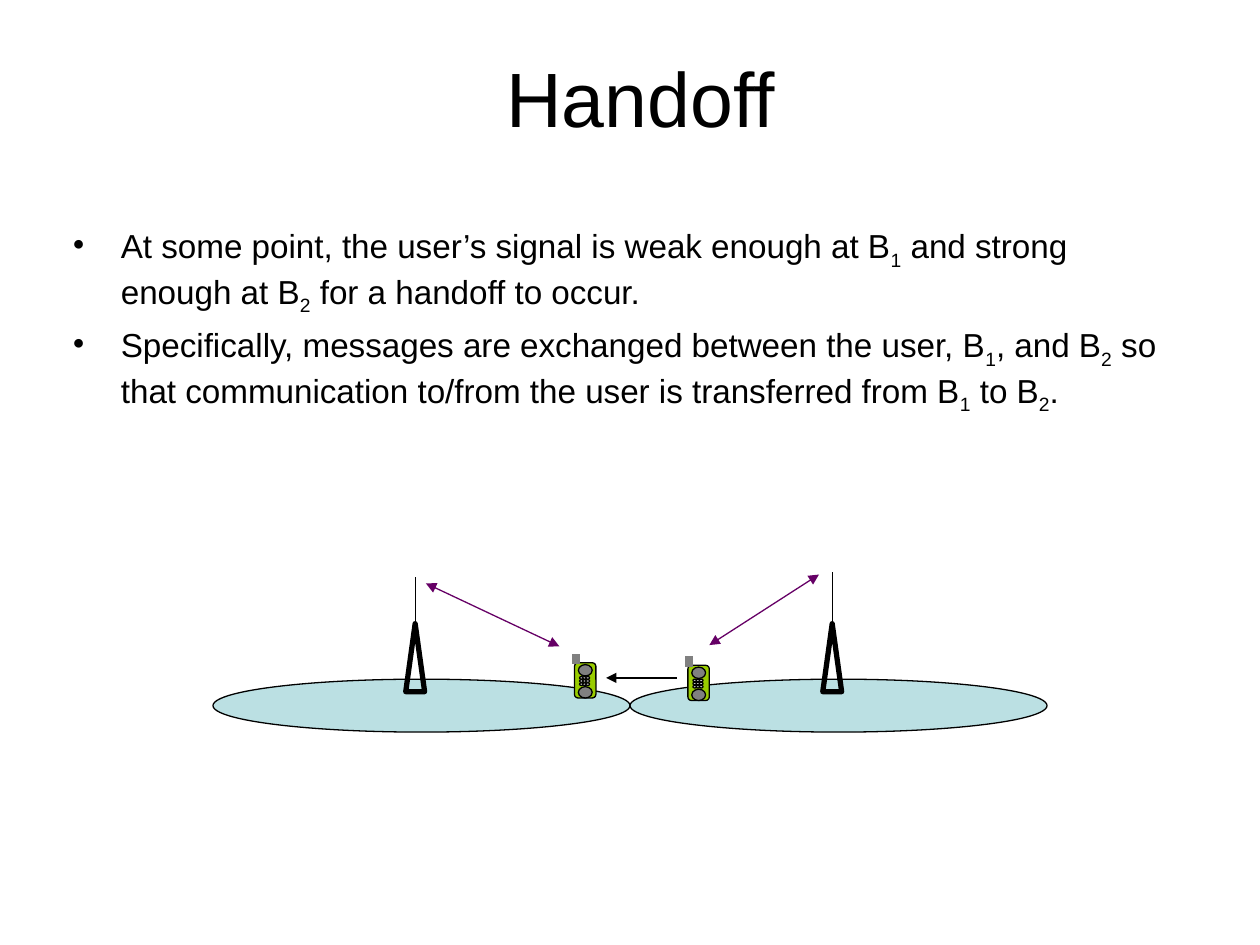
from dataclasses import dataclass
from itertools import product

from lxml.etree import SubElement
from pptx import Presentation
from pptx.dml.color import RGBColor
from pptx.enum.shapes import MSO_CONNECTOR, MSO_SHAPE
from pptx.enum.text import MSO_ANCHOR, PP_ALIGN
from pptx.oxml.ns import qn
from pptx.util import Inches, Pt

BLACK = RGBColor(0x00, 0x00, 0x00)
CELL_BLUE = RGBColor(0xBB, 0xE0, 0xE3)
PHONE_GREEN = RGBColor(0x99, 0xCC, 0x00)
GREY = RGBColor(0x80, 0x80, 0x80)
KEY_GREY = RGBColor(0xDD, 0xDD, 0xDD)
SIGNAL_PURPLE = RGBColor(0x66, 0x00, 0x66)
FONT = "Arial"
CELL_TOP, CELL_WIDTH, CELL_HEIGHT = 5.39, 3.31, 0.42


@dataclass(frozen=True)
class Cell:
    left: float
    tower_x: float
    antenna_top: float


@dataclass(frozen=True)
class Phone:
    left: float
    top: float


@dataclass(frozen=True)
class Arrow:
    start: tuple[float, float]
    end: tuple[float, float]
    color: RGBColor
    two_way: bool


CELLS = [Cell(1.69, 3.3, 4.58), Cell(5, 6.61, 4.54)]
PHONES = [Phone(5.46, 5.28), Phone(4.56, 5.26)]
ARROWS = [
    Arrow((5.63, 5.12), (6.5, 4.56), SIGNAL_PURPLE, True),
    Arrow((5.37, 5.38), (4.81, 5.38), BLACK, False),
    Arrow((4.44, 5.13), (3.38, 4.63), SIGNAL_PURPLE, True),
]
# Underscores mark a one-digit subscript.
BULLETS = [
    "At some point, the user’s signal is weak enough at B_1 and strong enough "
    "at B_2 for a handoff to occur.",
    "Specifically, messages are exchanged between the user, B_1, and B_2 so "
    "that communication to/from the user is transferred from B_1 to B_2.",
]


def add_outlined(slide, kind, left: float, top: float, width: float, height: float,
                 fill: RGBColor | None, weight: float = 0.75):
    shape = slide.shapes.add_shape(
        kind, Inches(left), Inches(top), Inches(width), Inches(height))
    shape.shadow.inherit = False
    if fill is None:
        shape.fill.background()
    else:
        shape.fill.solid()
        shape.fill.fore_color.rgb = fill
    shape.line.color.rgb = BLACK
    shape.line.width = Pt(weight)
    return shape


def add_line(slide, start: tuple[float, float], end: tuple[float, float],
             color: RGBColor = BLACK, weight: float = 0.75):
    line = slide.shapes.add_connector(
        MSO_CONNECTOR.STRAIGHT, *(Inches(value) for value in start + end))
    line.line.color.rgb = color
    line.line.width = Pt(weight)
    SubElement(line._element.spPr, qn("a:effectLst"))
    return line


def add_arrow(slide, arrow: Arrow) -> None:
    line = add_line(slide, arrow.start, arrow.end, arrow.color)
    outline = line.line._get_or_add_ln()
    for tag in ["a:headEnd", "a:tailEnd"] if arrow.two_way else ["a:tailEnd"]:
        SubElement(outline, qn(tag), type="triangle")


def add_cell(slide, cell: Cell) -> None:
    """Draw a coverage area with its tower and antenna."""
    add_outlined(slide, MSO_SHAPE.OVAL, cell.left, CELL_TOP, CELL_WIDTH, CELL_HEIGHT,
                 CELL_BLUE)
    add_outlined(slide, MSO_SHAPE.ISOSCELES_TRIANGLE, cell.tower_x - 0.08, 4.95,
                 0.15, 0.54, None, 3)
    add_line(slide, (cell.tower_x, cell.antenna_top + 0.52),
             (cell.tower_x, cell.antenna_top))


def add_phone(slide, phone: Phone) -> None:
    left, top = phone.left, phone.top
    body = add_outlined(slide, MSO_SHAPE.ROUNDED_RECTANGLE, left, top, 0.17, 0.28,
                        PHONE_GREEN)
    body.adjustments[0] = 0.17
    for column, row in product(range(3), repeat=2):
        add_outlined(slide, MSO_SHAPE.OVAL, left + 0.04 + column * 0.025,
                     top + 0.11 + row * 0.025, 0.03, 0.02, KEY_GREY)
    add_line(slide, (left + 0.01, top + 0.01), (left + 0.01, top - 0.07), GREY, 4.5)
    for offset in (0.19, 0.015):
        add_outlined(slide, MSO_SHAPE.OVAL, left + 0.03, top + offset, 0.11, 0.09, GREY)


def add_text_frame(slide, top: float, height: float, margin_top: float):
    box = slide.shapes.add_textbox(Inches(0.5), Inches(top), Inches(9), Inches(height))
    frame = box.text_frame
    frame.word_wrap = True
    frame.vertical_anchor = MSO_ANCHOR.TOP
    frame.margin_left = frame.margin_right = Inches(0.08)
    frame.margin_top, frame.margin_bottom = Inches(margin_top), Inches(0.04)
    return frame


def style_paragraph(paragraph, size: float) -> None:
    paragraph.font.name = FONT
    paragraph.font.size = Pt(size)
    paragraph.font.color.rgb = BLACK


def add_title(slide) -> None:
    paragraph = add_text_frame(slide, 0.3, 1.25, 0.1).paragraphs[0]
    paragraph.text = " Handoff"
    paragraph.alignment = PP_ALIGN.CENTER
    style_paragraph(paragraph, 44)


def fill_bullet(paragraph, text: str) -> None:
    """Write a bulleted paragraph, lowering each digit that follows an underscore."""
    style_paragraph(paragraph, 19)
    paragraph.space_before = Pt(4.8)
    properties = paragraph._p.get_or_add_pPr()
    properties.set("marL", str(Inches(0.38)))
    properties.set("indent", str(-Inches(0.38)))
    bullet = properties.makeelement(qn("a:buChar"), {"char": "•"})
    properties.find(qn("a:defRPr")).addprevious(bullet)
    first, *rest = text.split("_")
    paragraph.add_run().text = first
    for part in rest:
        subscript = paragraph.add_run()
        subscript.text = part[0]
        subscript.font._element.set("baseline", "-25000")
        paragraph.add_run().text = part[1:]


def add_bullets(slide) -> None:
    frame = add_text_frame(slide, 1.75, 4.95, 0.04)
    for index, text in enumerate(BULLETS):
        fill_bullet(frame.add_paragraph() if index else frame.paragraphs[0], text)


def main() -> None:
    presentation = Presentation()
    presentation.slide_width = Inches(10)
    presentation.slide_height = Inches(7.5)
    slide = presentation.slides.add_slide(presentation.slide_layouts[6])
    add_title(slide)
    add_bullets(slide)
    for cell in CELLS:
        add_cell(slide, cell)
    for phone in PHONES:
        add_phone(slide, phone)
    for arrow in ARROWS:
        add_arrow(slide, arrow)
    presentation.save("out.pptx")


if __name__ == "__main__":
    main()
